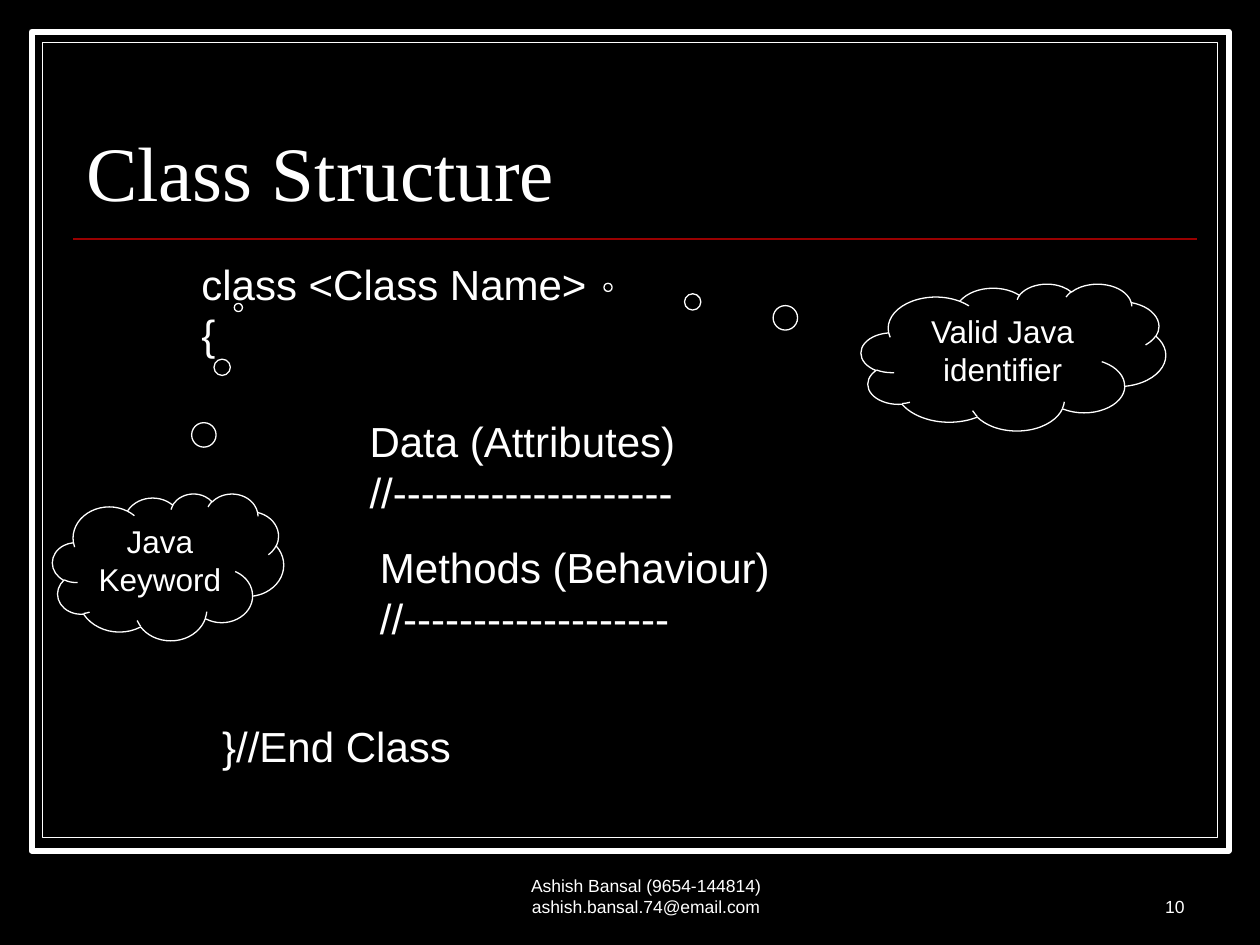
from lxml import etree
from pptx import Presentation
from pptx.dml.color import RGBColor
from pptx.enum import shapes, text
from pptx.oxml.ns import qn
from pptx.util import Cm, Pt

COLORS = {"black": "000000", "white": "FFFFFF", "red": "990000"}


def rgb(name):
    return RGBColor.from_string(COLORS[name])


def format_text(tf, size, align, font="Arial"):
    for p in tf.paragraphs:
        p.alignment = align
        for r in p.runs:
            r.font.name = font
            r.font.size = Pt(size)
            r.font.color.rgb = rgb("white")


def add_frame(slide, inset, width, height, weight):
    sp = slide.shapes.add_shape(shapes.MSO_SHAPE.RECTANGLE, Cm(inset), Cm(inset), Cm(width), Cm(height))
    sp.shadow.inherit = False
    sp.fill.solid()
    sp.fill.fore_color.rgb = rgb("black")
    sp.line.color.rgb = rgb("white")
    sp.line.width = Pt(weight)


def add_rule(slide, left, right, y):
    line = slide.shapes.add_connector(shapes.MSO_CONNECTOR.STRAIGHT, Cm(left), Cm(y), Cm(right), Cm(y))
    line.line.color.rgb = rgb("red")
    line.line.width = Pt(1)
    etree.SubElement(line._element.spPr, qn("a:effectLst"))


def set_title(slide, words):
    sp = slide.shapes.title
    sp.left, sp.top, sp.width, sp.height = Cm(1.48), Cm(1.32), Cm(22.65), Cm(3.17)
    tf = sp.text_frame
    tf.text = words
    tf.vertical_anchor = text.MSO_ANCHOR.BOTTOM
    tf.paragraphs[0].line_spacing = 0.8
    format_text(tf, 44, text.PP_ALIGN.LEFT, "Times New Roman")
    slide.shapes._spTree.append(sp._element)


def add_code(slide, words, left, top, width, height):
    tf = slide.shapes.add_textbox(Cm(left), Cm(top), Cm(width), Cm(height)).text_frame
    tf.text = words
    tf.word_wrap = False
    tf.auto_size = text.MSO_AUTO_SIZE.SHAPE_TO_FIT_TEXT
    format_text(tf, 24, text.PP_ALIGN.LEFT)


def add_footer(slide, words, left, width, align):
    tf = slide.shapes.add_textbox(Cm(left), Cm(17.35), Cm(width), Cm(1.27)).text_frame
    tf.text = words
    tf.word_wrap = True
    tf.vertical_anchor = text.MSO_ANCHOR.BOTTOM
    format_text(tf, 10, align)


def add_cloud(slide, words, left, top, width, tail):
    sp = slide.shapes.add_shape(shapes.MSO_SHAPE.CLOUD_CALLOUT, Cm(left), Cm(top), Cm(width), Cm(2.96))
    sp.shadow.inherit = False
    sp.adjustments[0], sp.adjustments[1] = tail
    sp.fill.background()
    sp.line.color.rgb = rgb("white")
    sp.line.width = Pt(0.75)
    tf = sp.text_frame
    tf.text = words
    tf.vertical_anchor = text.MSO_ANCHOR.TOP
    format_text(tf, 18, text.PP_ALIGN.CENTER)


def main():
    prs = Presentation()
    prs.slide_width, prs.slide_height = Cm(25.4), Cm(19.05)
    slide = prs.slides.add_slide(prs.slide_layouts[5])
    slide.background.fill.solid()
    slide.background.fill.fore_color.rgb = rgb("black")

    add_frame(slide, 0.64, 24.13, 16.51, 3.5)
    add_frame(slide, 0.86, 23.69, 16.03, 0.75)
    add_rule(slide, 1.48, 24.13, 4.82)
    set_title(slide, "Class Structure")

    add_footer(slide, "Ashish Bansal (9654-144814) ashish.bansal.74@email.com", 9, 8.04, text.PP_ALIGN.CENTER)
    add_footer(slide, "10", 18.84, 5.29, text.PP_ALIGN.RIGHT)

    add_code(slide, "class <Class Name>\v{", 3.81, 5.08, 8.36, 2.31)
    add_code(slide, "Data (Attributes)\v//" + "-" * 20, 7.2, 8.26, 6.96, 2.31)
    add_code(slide, "Methods (Behaviour)\v//" + "-" * 19, 7.41, 10.8, 8.69, 2.31)
    add_code(slide, "}//End Class", 4.23, 14.4, 5.18, 1.27)

    add_cloud(slide, "Java\vKeyword", 1.06, 9.95, 4.66, (0.304, -1.767))
    add_cloud(slide, "Valid Java\videntifier", 17.36, 5.72, 6.14, (-1.331, -0.475))

    prs.save("out.pptx")


main()
